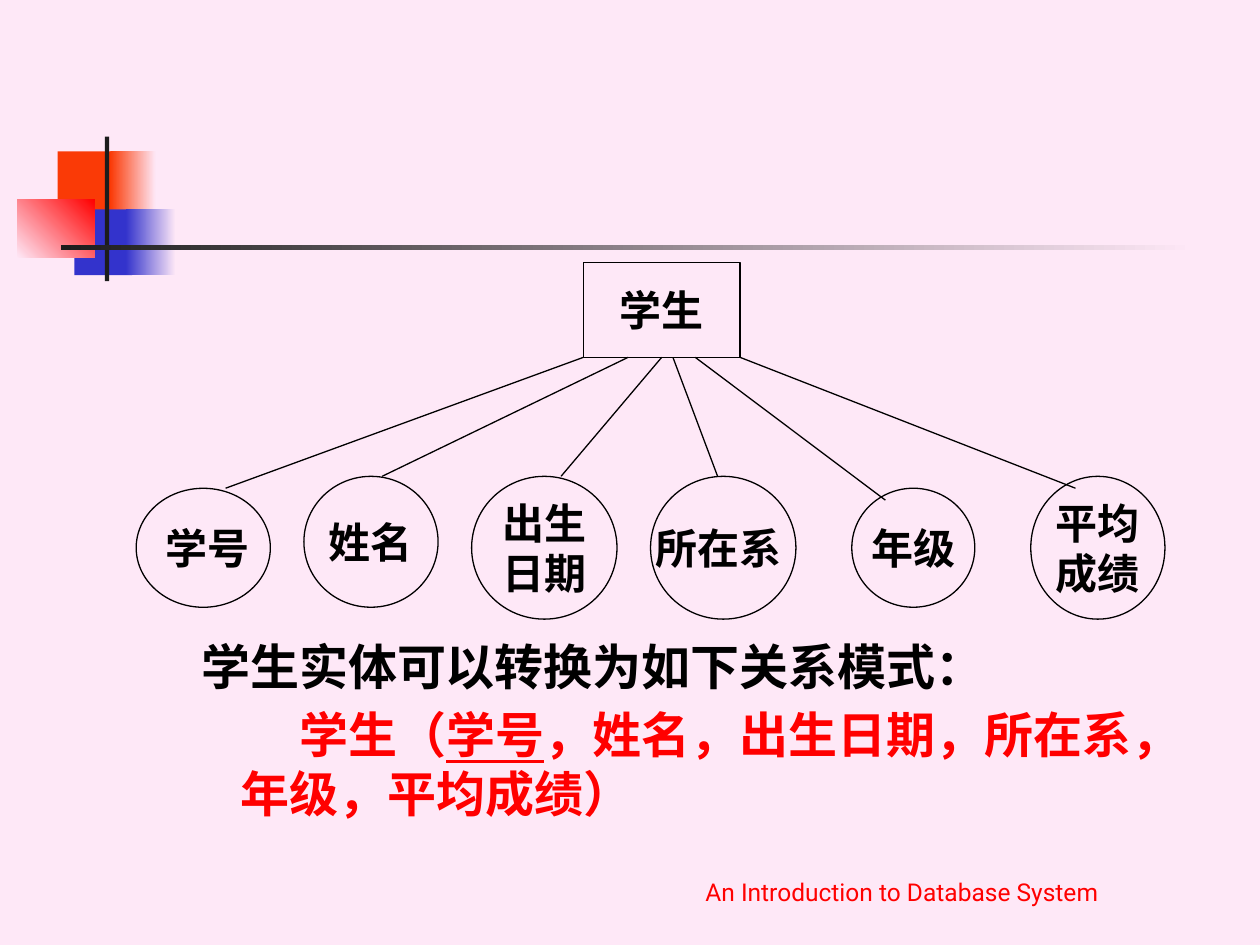
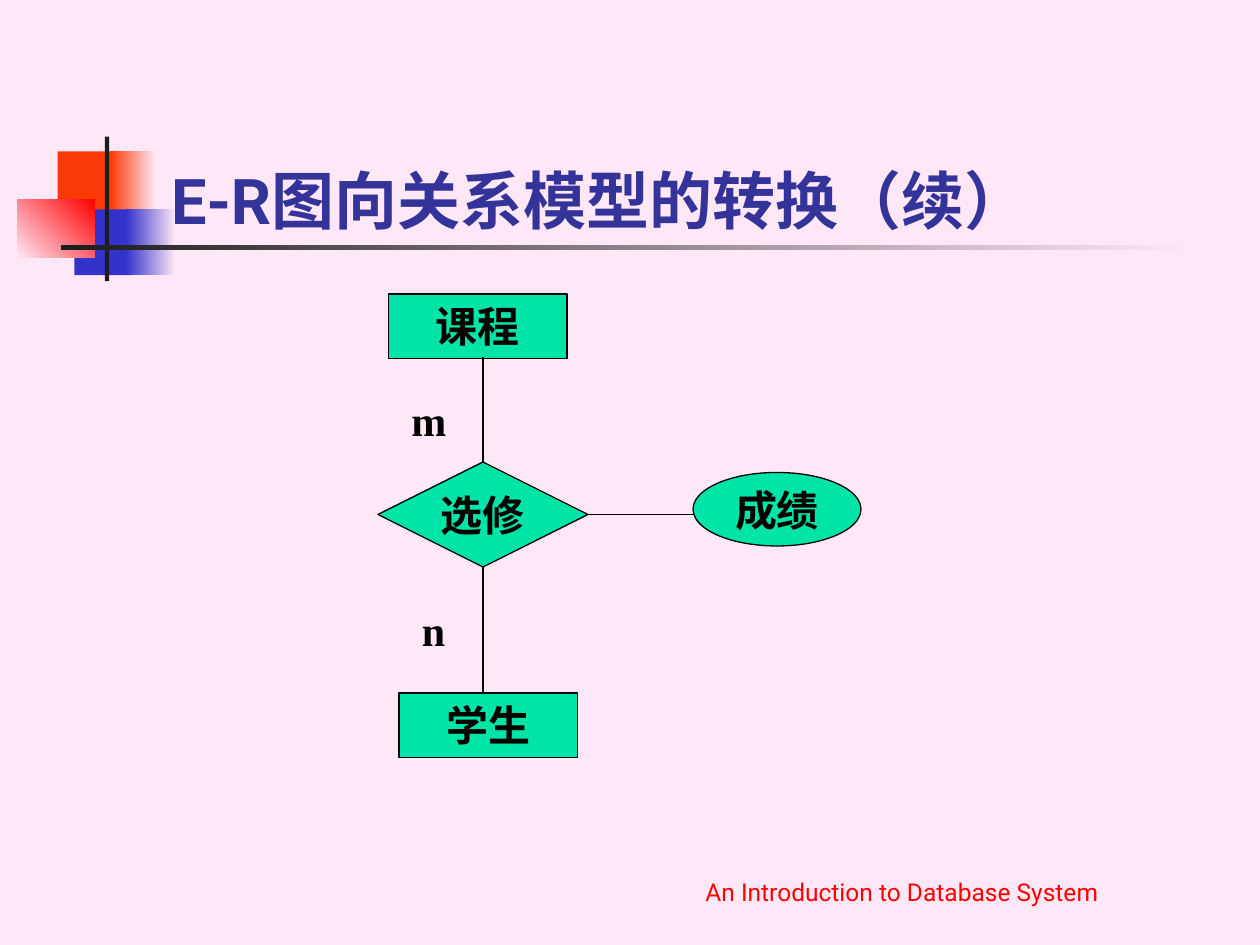
import pptx
import pptx.dml.color
import pptx.enum.shapes
import pptx.enum.text
import pptx.util
from lxml import etree

Pt = pptx.util.Pt
RGB = pptx.dml.color.RGBColor
SHAPE = pptx.enum.shapes.MSO_SHAPE
STRAIGHT = pptx.enum.shapes.MSO_CONNECTOR.STRAIGHT
ALIGN = pptx.enum.text.PP_ALIGN
ANCHOR = pptx.enum.text.MSO_ANCHOR

PINK = RGB(0xFE, 0xE8, 0xF7)
ORANGE = RGB(0xFA, 0x3A, 0x06)
BLUE = RGB(0x33, 0x33, 0xCC)
RED = RGB(0xFF, 0x00, 0x00)
DARK = RGB(0x1C, 0x1C, 0x1C)
BLACK = RGB(0x00, 0x00, 0x00)
INDIGO = RGB(0x33, 0x33, 0x99)
GREEN = RGB(0x00, 0xE4, 0xA8)
SANS, SERIF = "Roboto", "Times New Roman"

FOOTER = "An Introduction to Database System"
TITLE = "E-R图向关系模型的转换（续）"

ORNAMENT = [
    ((33, 86.5, 34.5, 37.5), ORANGE, None, 0),
    ((63, 86.5, 26, 37.5), ORANGE, PINK, 0),
    ((42.5, 119.7, 33, 37.5), BLUE, None, 0),
    ((72, 119.7, 28.5, 37.5), BLUE, PINK, 0),
    ((9.8, 113.8, 44.2, 33.4), PINK, RED, 45),
    ((59.9, 78, 2.5, 82.7), DARK, None, 0),
    ((34.8, 140.2, 648, 2.5), DARK, PINK, 0),
]

GRID_LEFT, GRID_TOP, COLUMN, ROW = 77.8, 149.8, 6.39, 6.8
ENTITY = ("学生", (40, 0, 14, 8))
ATTRIBUTES = [
    (" 学号", (0, 19, 12, 10), (40, 8), (8, 19)),
    ("姓名", (15, 18, 12, 11), (44, 8), (22, 18)),
    ("出生\n日期", (30, 18, 13, 12), (47, 8), (38, 18)),
    ("所在系 ", (46, 18, 13, 12), (48, 8), (52, 18)),
    ("年级", (64, 19, 11, 10), (50, 8), (67, 20)),
    ("平均\n成绩", (80, 18, 12, 12), (54, 8), (84, 19)),
]
SCHEMA_INTRO = "学生实体可以转换为如下关系模式："
SCHEMA_PARTS = [
    ("学生（", False),
    ("学号", True),
    ("，姓名，出生日期，所在系， 年级，平均成绩）", False),
]

RELATION = ("选修", (216, 264, 120, 60))
RELATED = [
    ("课程", SHAPE.RECTANGLE, (222, 168, 102, 36.7), 0, (276, 204)),
    ("学生", SHAPE.RECTANGLE, (228, 396, 102, 36.7), 2, (276, 396)),
    ("成绩", SHAPE.OVAL, (396, 270, 96, 42), 3, (396, 294)),
]
CARDINALITIES = [("m", (228, 222, 30, 36)), ("n", (234, 342, 30, 36))]


def points(values):
    return [Pt(value) for value in values]


def style_run(run, size, font, color, bold):
    run.font.size = Pt(size)
    run.font.name = font
    run.font.color.rgb = color
    run.font.bold = bold


def write(frame, text, size, font, color, bold=True, align=ALIGN.LEFT):
    frame.text = text
    for paragraph in frame.paragraphs:
        paragraph.alignment = align
        for run in paragraph.runs:
            style_run(run, size, font, color, bold)


def add_text(slide, box, text, size, font, color, bold=True, anchor=ANCHOR.TOP):
    frame = slide.shapes.add_textbox(*points(box)).text_frame
    frame.word_wrap = True
    frame.vertical_anchor = anchor
    write(frame, text, size, font, color, bold)
    return frame


def add_node(slide, kind, box, text, fill=None):
    node = slide.shapes.add_shape(kind, *points(box))
    node.shadow.inherit = False
    if fill is None:
        node.fill.background()
    else:
        node.fill.solid()
        node.fill.fore_color.rgb = fill
    node.line.color.rgb = BLACK
    node.line.width = Pt(0.75)
    node.text_frame.word_wrap = False
    node.text_frame.vertical_anchor = ANCHOR.MIDDLE
    write(node.text_frame, text, 24, SERIF, BLACK, align=ALIGN.CENTER)
    return node


def add_link(slide, start, end):
    link = slide.shapes.add_connector(STRAIGHT, *points(start + end))
    link.line.color.rgb = BLACK
    link.line.width = Pt(0.75)
    etree.SubElement(link.line._get_or_add_ln().getparent(),
                     pptx.oxml.ns.qn("a:effectLst"))
    return link


def add_ornament(slide):
    for box, color, fade, angle in ORNAMENT:
        block = slide.shapes.add_shape(SHAPE.RECTANGLE, *points(box))
        block.shadow.inherit = False
        block.line.fill.background()
        if fade is None:
            block.fill.solid()
            block.fill.fore_color.rgb = color
        else:
            block.fill.gradient()
            block.fill.gradient_angle = angle
            for stop, shade in zip(block.fill.gradient_stops, (color, fade)):
                stop.color.rgb = shade


def add_base(deck):
    slide = deck.slides.add_slide(deck.slide_layouts[6])
    slide.background.fill.solid()
    slide.background.fill.fore_color.rgb = PINK
    add_ornament(slide)
    add_text(slide, (396, 485.3, 294.5, 36), FOOTER, 14, SANS, RED, False,
             ANCHOR.BOTTOM)
    return slide


def grid_point(column, row):
    return GRID_LEFT + column * COLUMN, GRID_TOP + row * ROW


def grid_box(column, row, columns, rows):
    return grid_point(column, row) + (columns * COLUMN, rows * ROW)


def indent(paragraph, first_line):
    properties = paragraph._p.get_or_add_pPr()
    properties.set("marL", str(Pt(58.5)))
    properties.set("indent", str(Pt(first_line)))


def build_entity_slide(deck):
    slide = add_base(deck)
    entity, cells = ENTITY
    add_node(slide, SHAPE.RECTANGLE, grid_box(*cells), entity)
    for attribute, cells, start, end in ATTRIBUTES:
        add_node(slide, SHAPE.OVAL, grid_box(*cells), attribute)
        add_link(slide, grid_point(*start), grid_point(*end))

    body = add_text(slide, (72, 360, 612, 131), SCHEMA_INTRO, 28, SANS, BLACK)
    indent(body.paragraphs[0], -22.5)
    schema = body.add_paragraph()
    schema.space_before = Pt(5.6)
    indent(schema, 33.5)
    for text, is_key in SCHEMA_PARTS:
        run = schema.add_run()
        run.text = text
        style_run(run, 28, SANS, RED, True)
        run.font.underline = is_key


def build_relation_slide(deck):
    slide = add_base(deck)
    add_text(slide, (90.7, 49, 613.4, 90), TITLE, 36, SANS, INDIGO,
             anchor=ANCHOR.BOTTOM)
    relation, box = RELATION
    diamond = add_node(slide, SHAPE.DIAMOND, box, relation, GREEN)
    for name, kind, box, side, end in RELATED:
        add_node(slide, kind, box, name, GREEN)
        add_link(slide, (276, 294), end).begin_connect(diamond, side)
    for letter, box in CARDINALITIES:
        add_text(slide, box, letter, 24, SERIF, BLACK)


def main():
    deck = pptx.Presentation()
    deck.slide_width, deck.slide_height = Pt(720), Pt(540)
    build_entity_slide(deck)
    build_relation_slide(deck)
    deck.save("out.pptx")


if __name__ == "__main__":
    main()
